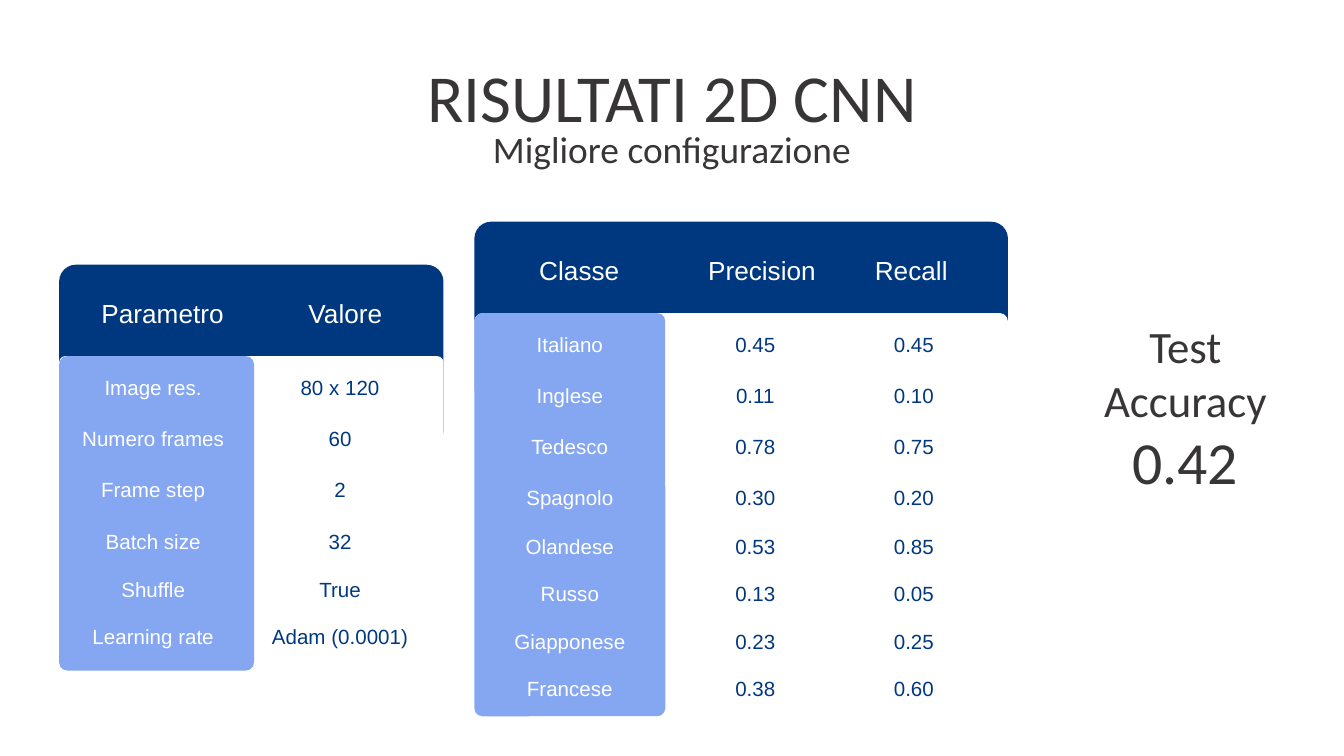
from itertools import accumulate

from pptx import Presentation
from pptx.dml.color import RGBColor
from pptx.enum.shapes import MSO_SHAPE as Shape
from pptx.enum.text import MSO_ANCHOR as Anchor, PP_ALIGN as Align
from pptx.util import Inches, Pt

# Content: each column is (heading, heading left, cell left, cells)
HEADINGS = [("RISULTATI 2D CNN", 0.31, "title"),
            ("Migliore configurazione", 0.84, "subtitle")]
ACCURACY = [(["Test", "Accuracy"], 2.27, "label"), (["0.42"], 3.06, "score")]
TABLES = [
    dict(left=0.44, width=2.86, body_top=2.65, body_height=2.34, key_width=1.45,
         columns=[
             ("Parametro", 0.57, 0.50, ["Image res.", "Numero frames", "Frame step",
                                        "Batch size", "Shuffle", "Learning rate"]),
             ("Valore", 1.93, 1.89, ["80 x 120", "60", "2", "32", "True",
                                     "Adam (0.0001)"]),
         ]),
    dict(left=3.53, width=3.97, body_top=2.33, body_height=3.0, key_width=1.42,
         columns=[
             ("Classe", 3.67, 3.60, ["Italiano", "Inglese", "Tedesco", "Spagnolo",
                                     "Olandese", "Russo", "Giapponese", "Francese"]),
             ("Precision", 5.03, 4.98, ["0.45", "0.11", "0.78", "0.30",
                                        "0.53", "0.13", "0.23", "0.38"]),
             ("Recall", 6.14, 6.16, ["0.45", "0.10", "0.75", "0.20",
                                     "0.85", "0.05", "0.25", "0.60"]),
         ]),
]

# Text styles are (font, size, colour)
NAVY, SKY, WHITE, INK = (RGBColor.from_string(c)
                         for c in ("003880", "85A7F2", "FFFFFF", "383536"))
THEME = dict(
    title=("Calibri", 36, INK), subtitle=("Calibri", 20, INK),
    label=("Calibri", 24, INK), score=("Calibri", 32, INK),
    heading=("Arial", 14, WHITE), key=("Arial", 11, WHITE), value=("Arial", 11, NAVY),
)

# Grid, in inches; the slide is 16:9
SLIDE_W = 10
SLIDE_H = SLIDE_W * 9 / 16
CELL_W, CELL_H = 1.28, 0.45
HEADER_H, HEADER_RISE, HEADING_RISE = 1.36, 0.68, 0.54
ROW_OFFSETS = list(accumulate([0.05, 0.38, 0.38, 0.38, 0.36, 0.35, 0.36, 0.35]))
TITLE_W, TITLE_H = 4.7, 0.69
ACCURACY_LEFT, ACCURACY_W, ACCURACY_H = 7.89, 1.86, 1.14

deck = Presentation()
deck.slide_width, deck.slide_height = Inches(SLIDE_W), Inches(SLIDE_H)
slide = deck.slides.add_slide(deck.slide_layouts[6])


def add_panel(left, top, width, height, colour, rounding):
    panel = slide.shapes.add_shape(Shape.ROUNDED_RECTANGLE,
                                   *map(Inches, (left, top, width, height)))
    panel.adjustments[0] = rounding
    panel.shadow.inherit = False
    panel.fill.solid()
    panel.fill.fore_color.rgb = colour
    panel.line.fill.background()


def add_text(lines, left, top, width, height, style):
    frame = slide.shapes.add_textbox(*map(Inches, (left, top, width, height))).text_frame
    frame.word_wrap = True
    frame.vertical_anchor = Anchor.TOP
    frame.margin_left = frame.margin_right = Inches(0.1)
    frame.margin_top = frame.margin_bottom = Inches(0.1)
    frame.text = "\n".join(lines)
    name, size, colour = THEME[style]
    for paragraph in frame.paragraphs:
        paragraph.alignment = Align.CENTER
        paragraph.font.name = name
        paragraph.font.size = Pt(size)
        paragraph.font.color.rgb = colour


# Title and subtitle
for heading, top, style in HEADINGS:
    add_text([heading], (SLIDE_W - TITLE_W) / 2, top, TITLE_W, TITLE_H, style)

# Rounded tables: header band, body, key column, then the words
for table in TABLES:
    left, width, body_top = table["left"], table["width"], table["body_top"]
    body_height = table["body_height"]
    add_panel(left, body_top - HEADER_RISE, width, HEADER_H, NAVY, 0.092)
    add_panel(left, body_top, width, body_height, WHITE, 0.02)
    add_panel(left, body_top, table["key_width"], body_height, SKY, 0.042)
    for index, (heading, heading_left, cell_left, cells) in enumerate(table["columns"]):
        add_text([heading], heading_left, body_top - HEADING_RISE,
                 CELL_W, CELL_H, "heading")
        for cell, offset in zip(cells, ROW_OFFSETS):
            add_text([cell], cell_left, body_top + offset, CELL_W, CELL_H,
                     "value" if index else "key")

# Test accuracy
for lines, top, style in ACCURACY:
    add_text(lines, ACCURACY_LEFT, top, ACCURACY_W, ACCURACY_H, style)

deck.save("out.pptx")
